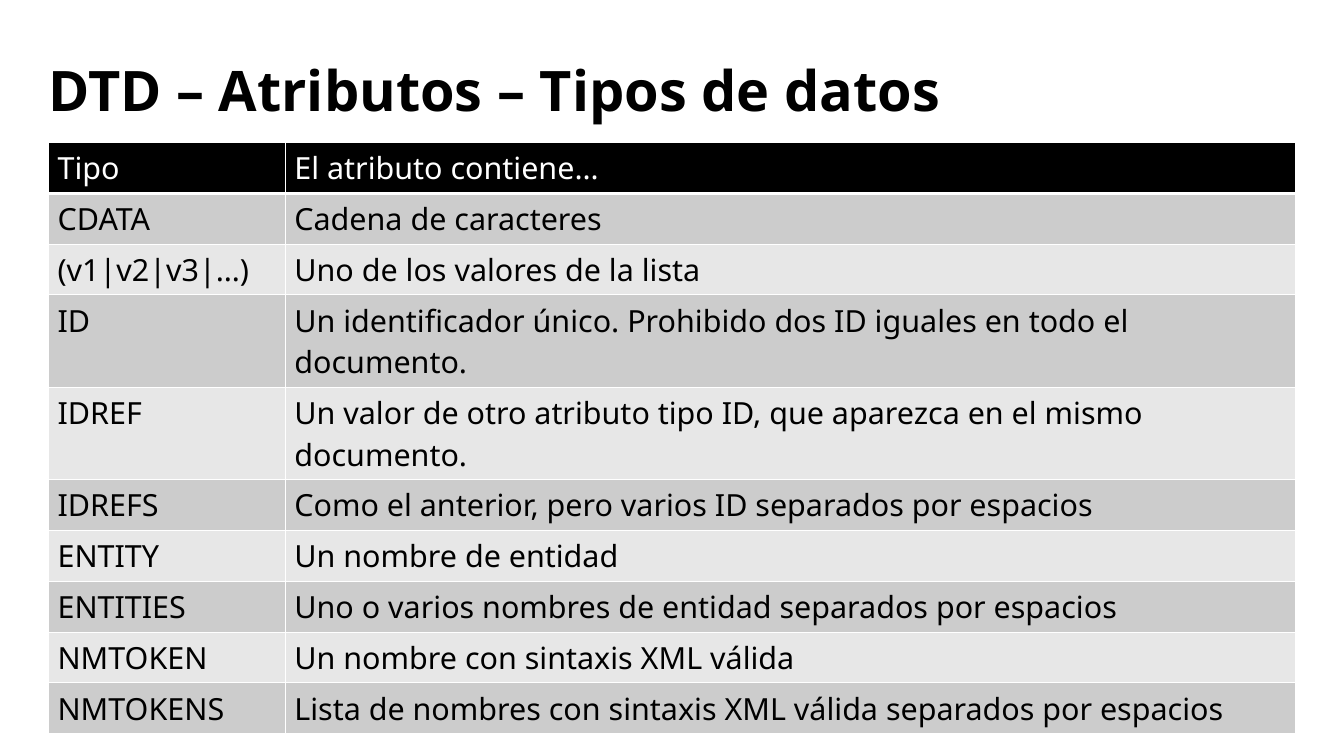
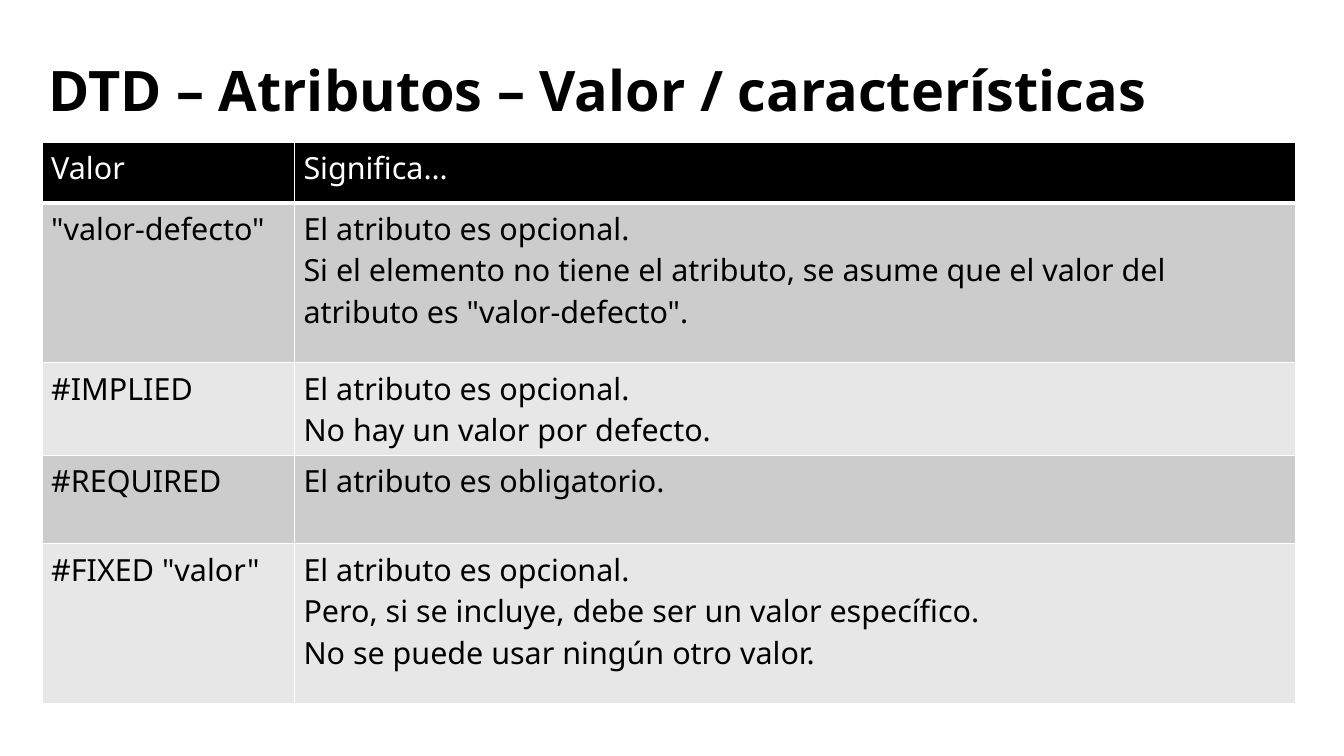
from dataclasses import dataclass

from lxml.etree import SubElement
from pptx import Presentation
from pptx.dml.color import RGBColor
from pptx.enum.text import MSO_ANCHOR, MSO_AUTO_SIZE, PP_ALIGN
from pptx.oxml.ns import qn
from pptx.util import Inches, Pt


@dataclass(frozen=True)
class Theme:
    font: str = "Noto Sans"
    title_size: int = 44
    table_size: int = 24
    ink: str = "000000"
    paper: str = "FFFFFF"
    bands: tuple = ("CCCCCC", "E7E7E7")
    thin_line: int = 1
    header_line: int = 3


class Deck:
    def __init__(self, theme):
        self.theme = theme
        self.deck = Presentation()
        self.deck.slide_width = Inches(14.7)
        self.deck.slide_height = Inches(8.27)
        self.page = None

    def add_page(self, title):
        title_only = self.deck.slide_layouts[5]
        self.page = self.deck.slides.add_slide(title_only)
        background = self.page.background.fill
        background.solid()
        background.fore_color.rgb = RGBColor.from_string(self.theme.paper)
        self.add_title(title)

    def add_title(self, text):
        box = self.page.shapes.title
        box.left, box.top = Inches(0.53), Inches(0.28)
        box.width, box.height = Inches(13.71), Inches(1.48)
        frame = box.text_frame
        frame.word_wrap = True
        frame.auto_size = MSO_AUTO_SIZE.NONE
        frame.vertical_anchor = MSO_ANCHOR.MIDDLE
        frame.margin_left = frame.margin_right = 0
        frame.margin_top = frame.margin_bottom = 0
        para = frame.paragraphs[0]
        para.alignment = PP_ALIGN.LEFT
        para.line_spacing = 0.9
        self.add_span(para, text, self.theme.title_size, self.theme.ink, bold=True)

    def add_span(self, para, text, size, color, bold=False):
        span = para.add_run()
        span.text = text
        span.font.name = self.theme.font
        span.font.size = Pt(size)
        span.font.bold = bold
        span.font.color.rgb = RGBColor.from_string(color)

    def add_table(self, left, widths, heights, rows):
        frame = self.page.shapes.add_table(
            len(rows), len(widths), Inches(left), Inches(1.56),
            Inches(sum(widths)), Inches(sum(heights)))
        table = frame.table
        for column, width in zip(table.columns, widths):
            column.width = Inches(width)
        for row, height in zip(table.rows, heights):
            row.height = Inches(height)
        for row_index, texts in enumerate(rows):
            for column_index, text in enumerate(texts):
                cell = table.cell(row_index, column_index)
                self.fill_cell(cell, text, row_index)

    def fill_cell(self, cell, text, row_index):
        theme = self.theme
        is_header = row_index == 0
        self.add_borders(cell, theme.header_line if is_header else theme.thin_line)
        cell.fill.solid()
        fill = theme.ink if is_header else theme.bands[(row_index - 1) % 2]
        cell.fill.fore_color.rgb = RGBColor.from_string(fill)
        color = theme.paper if is_header else theme.ink
        frame = cell.text_frame
        for para_index, para_text in enumerate(text.split("\n")):
            para = frame.add_paragraph() if para_index else frame.paragraphs[0]
            for line_index, line in enumerate(para_text.split("\v")):
                if line_index:
                    para.add_line_break()
                self.add_span(para, line, theme.table_size, color)

    def add_borders(self, cell, bottom_width):
        properties = cell._tc.get_or_add_tcPr()
        thin = self.theme.thin_line
        for side, width in zip("LRTB", (thin, thin, thin, bottom_width)):
            line = SubElement(properties, qn(f"a:ln{side}"), w=str(Pt(width)))
            fill = SubElement(line, qn("a:solidFill"))
            SubElement(fill, qn("a:srgbClr"), val=self.theme.paper)

    def save(self):
        self.deck.save("out.pptx")


DATA_TYPES = [
    ("Tipo", "El atributo contiene…"),
    ("CDATA", "Cadena de caracteres"),
    ("(v1|v2|v3|…)", "Uno de los valores de la lista"),
    ("ID", "Un identificador único. Prohibido dos ID iguales en todo el documento."),
    ("IDREF", "Un valor de otro atributo tipo ID, que aparezca en el mismo documento."),
    ("IDREFS", "Como el anterior, pero varios ID separados por espacios"),
    ("ENTITY", "Un nombre de entidad"),
    ("ENTITIES", "Uno o varios nombres de entidad separados por espacios"),
    ("NMTOKEN", "Un nombre con sintaxis XML válida"),
    ("NMTOKENS", "Lista de nombres con sintaxis XML válida separados por espacios"),
]

DEFAULT_VALUES = [
    ("Valor", "Significa…"),
    ('"valor-defecto"',
     "El atributo es opcional.\vSi el elemento no tiene el atributo, "
     'se asume que el valor del atributo es "valor-defecto".'),
    ("#IMPLIED", "El atributo es opcional.\vNo hay un valor por defecto."),
    ("#REQUIRED", "El atributo es obligatorio."),
    ('#FIXED "valor"',
     "El atributo es opcional.\nPero, si se incluye, debe ser un valor específico.\v"
     "No se puede usar ningún otro valor."),
]


def main():
    deck = Deck(Theme())
    deck.add_page("DTD – Atributos – Tipos de datos")
    type_heights = [0.53] * 3 + [0.95] * 2 + [0.53] * 5
    deck.add_table(0.53, (2.59, 11.05), type_heights, DATA_TYPES)
    deck.add_page("DTD – Atributos – Valor / características")
    value_heights = [0.66, 1.75, 0.97, 0.97, 1.75]
    deck.add_table(0.46, (2.76, 10.95), value_heights, DEFAULT_VALUES)
    deck.save()


if __name__ == "__main__":
    main()
